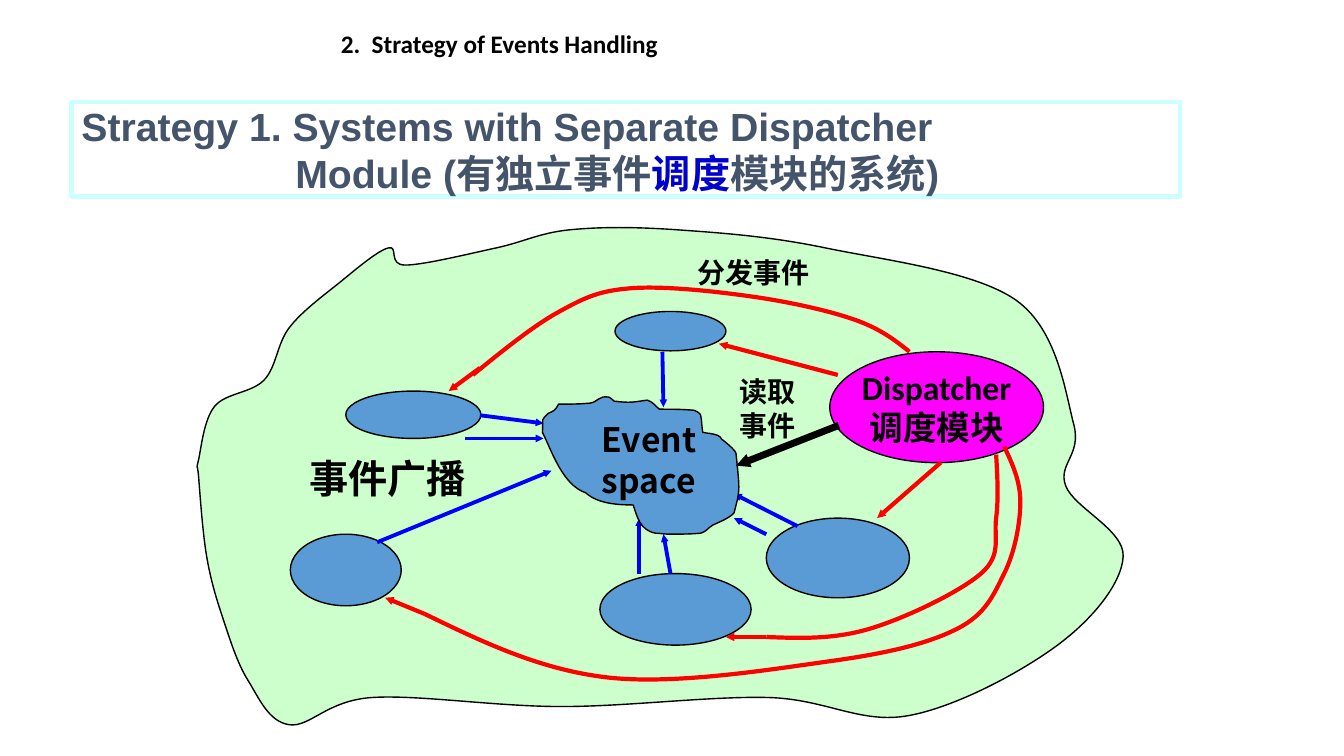
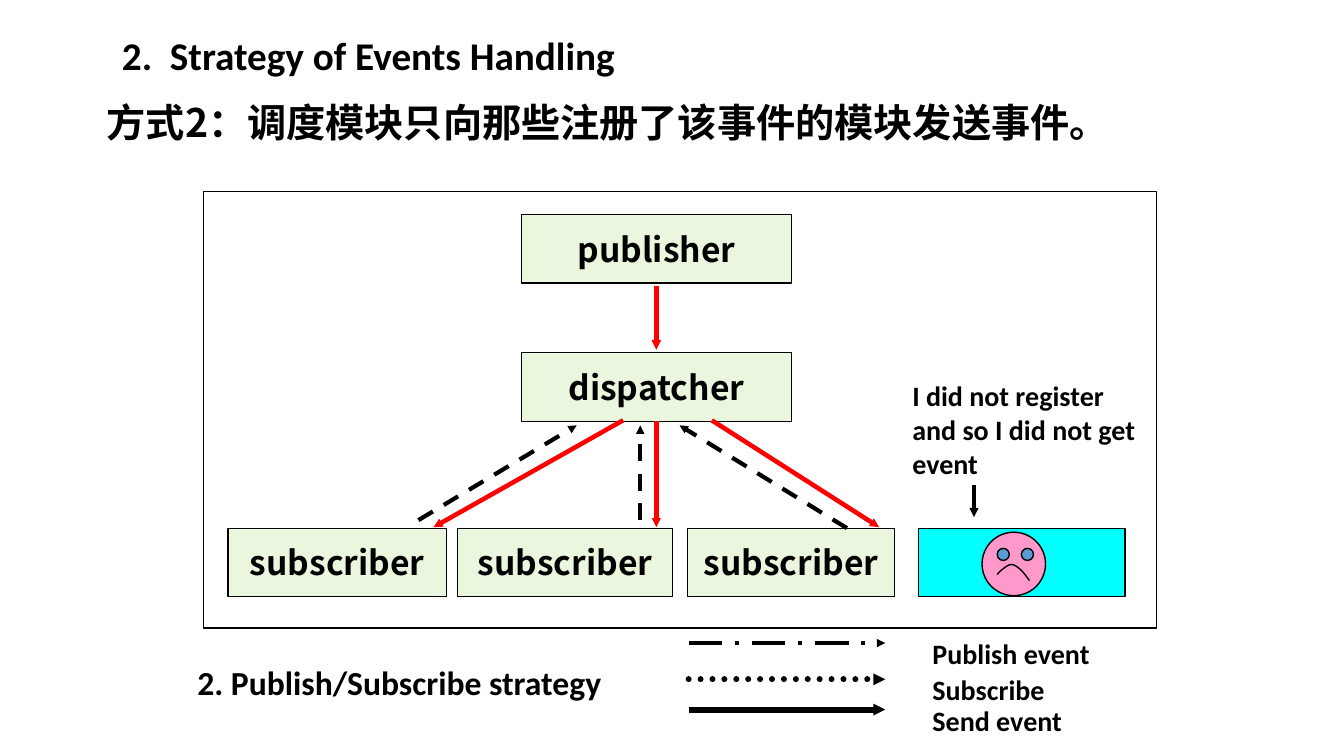
from dataclasses import dataclass

from lxml.etree import SubElement
from pptx import Presentation
from pptx.dml.color import RGBColor
from pptx.enum.dml import MSO_LINE
from pptx.enum.shapes import MSO_CONNECTOR, MSO_SHAPE
from pptx.enum.text import MSO_ANCHOR, MSO_AUTO_SIZE, PP_ALIGN
from pptx.oxml.ns import qn
from pptx.util import Inches, Pt


@dataclass(frozen=True)
class Theme:
    black: str = "000000"
    white: str = "FFFFFF"
    slate: str = "44546A"
    accent: str = "0000CC"
    pale_cyan: str = "CCFFFF"
    cyan: str = "00FFFF"
    mint: str = "CCFFCC"
    lime: str = "92D050"
    module: str = "5B9BD5"
    magenta: str = "FF00FF"
    pink: str = "FF99CC"
    red: str = "FF0000"
    blue: str = "0000FF"
    latin: str = "Calibri"
    heading: str = "Arial"
    chinese: str = "Noto Sans CJK SC"
    small: int = 18
    label: int = 20
    node: int = 24
    large: int = 28


THEME = Theme()
HEADING = "2.  Strategy of Events Handling"


def color(value):
    return RGBColor.from_string(value)


def write(shape, paragraphs, size, font=THEME.latin, align=PP_ALIGN.LEFT,
          anchor=MSO_ANCHOR.TOP, wrap=True, side_margin=0.1):
    """Fill a shape with paragraphs; each is a string or a list of (text, font, colour).

    None in such a list is a line break.
    """
    frame = shape.text_frame
    settings = {
        "auto_size": MSO_AUTO_SIZE.NONE, "word_wrap": wrap, "vertical_anchor": anchor,
        "margin_left": Inches(side_margin), "margin_right": Inches(side_margin),
        "margin_top": Inches(0.05), "margin_bottom": Inches(0.05),
    }
    for name, value in settings.items():
        setattr(frame, name, value)
    for index, content in enumerate(paragraphs):
        paragraph = frame.add_paragraph() if index else frame.paragraphs[0]
        paragraph.alignment = align
        runs = [(content, font, THEME.black)] if isinstance(content, str) else content
        if any(run and run[1] == THEME.chinese for run in runs):
            paragraph.line_spacing = Pt(size * 1.2)
        for part in runs:
            if part is None:
                paragraph.add_line_break()
                continue
            text, face, tint = part
            run = paragraph.add_run()
            run.text = text
            for name, value in {"size": Pt(size), "bold": True, "name": face}.items():
                setattr(run.font, name, value)
            run.font.color.rgb = color(tint)
            east_asian = SubElement(run._r.get_or_add_rPr(), qn("a:ea"))
            east_asian.set("typeface", THEME.chinese)


def smooth(knots, closed=False):
    """Bezier segments (control, control, end) of a smooth curve through the knots."""
    def beyond(first, second, third):
        return tuple(2.5 * a - 2 * b + 0.5 * c for a, b, c in zip(first, second, third))

    if closed:
        chain = [knots[-1], *knots, *knots[:2]]
    else:
        chain = [beyond(*knots[:3]), *knots, beyond(*knots[:-4:-1])]
    return [(tuple(p + (q - o) / 6 for o, p, q in zip(before, start, end)),
             tuple(q - (r - p) / 6 for p, q, r in zip(start, end, after)), end)
            for before, start, end, after in zip(chain, chain[1:], chain[2:], chain[3:])]


class Region:
    """Draws on a slide at offsets, in inches, from one corner."""

    def __init__(self, slide, left, top):
        self.shapes, self.left, self.top = slide.shapes, left, top

    def point(self, x, y):
        return Inches(self.left + x), Inches(self.top + y)

    def paint(self, shape, fill, line, width, alpha=None):
        shape.shadow.inherit = False
        if fill:
            shape.fill.solid()
            shape.fill.fore_color.rgb = color(fill)
        else:
            shape.fill.background()
        if alpha:
            tint = shape.element.spPr.find(qn("a:solidFill"))[0]
            SubElement(tint, qn("a:alpha")).set("val", str(alpha * 1000))
        shape.line.color.rgb = color(line)
        shape.line.width = Pt(width)
        return shape

    def shape(self, kind, box, fill=None, line=THEME.black, width=1, alpha=None):
        x, y, wide, high = box
        shape = self.shapes.add_shape(kind, *self.point(x, y), Inches(wide), Inches(high))
        return self.paint(shape, fill, line, width, alpha)

    def curve(self, start, segments, fill=None, line=THEME.black, width=1, closed=False):
        """Build a freeform from its end points, then bend each side."""
        builder = self.shapes.build_freeform(*self.point(*start), scale=1.0)
        builder.add_line_segments([self.point(*end) for *_, end in segments], close=closed)
        shape = builder.convert_to_shape()
        sides = list(shape.element.iter(qn("a:lnTo")))
        for side, segment in zip(sides, segments):
            side.tag = qn("a:cubicBezTo")
            side.remove(side[0])
            for pair in segment:
                x, y = self.point(*pair)
                node = SubElement(side, qn("a:pt"))
                node.set("x", str(x - shape.left))
                node.set("y", str(y - shape.top))
        return self.paint(shape, fill, line, width)

    def arrow(self, start, end, line=THEME.black, width=3, dash=None):
        connector = self.shapes.add_connector(
            MSO_CONNECTOR.STRAIGHT, *self.point(*start), *self.point(*end))
        connector.line.color.rgb = color(line)
        connector.line.width = Pt(width)
        if dash:
            connector.line.dash_style = dash
        properties = connector.element.spPr
        outline = properties.find(qn("a:ln"))
        if dash == MSO_LINE.ROUND_DOT:
            outline.set("cap", "rnd")
        head = SubElement(outline, qn("a:tailEnd"))
        for name, value in {"type": "triangle", "w": "sm", "len": "sm"}.items():
            head.set(name, value)
        SubElement(properties, qn("a:effectLst"))
        return connector

    def text(self, box, paragraphs, size, **options):
        x, y, wide, high = box
        text_box = self.shapes.add_textbox(*self.point(x, y), Inches(wide), Inches(high))
        write(text_box, paragraphs, size, **options)


def add_slide(presentation, left, top, height, size):
    slide = presentation.slides.add_slide(presentation.slide_layouts[5])
    title = slide.shapes.title
    box = {"left": left, "top": top, "width": 6.38, "height": height}
    for name, value in box.items():
        setattr(title, name, Inches(value))
    write(title, [HEADING], size)
    return slide


def strategy_box(slide, left, top):
    region = Region(slide, left, top)
    box = region.shape(MSO_SHAPE.RECTANGLE, (0, 0, 10.99, 0.94), None, THEME.pale_cyan, 3)
    write(box, [[
        ("Strategy 1. Systems with Separate Dispatcher", THEME.heading, THEME.slate),
        None,
        ("Module (", THEME.heading, THEME.slate),
        ("有独立事件", THEME.chinese, THEME.slate),
        ("调度", THEME.chinese, THEME.accent),
        ("模块的系统", THEME.chinese, THEME.slate),
        (")", THEME.heading, THEME.slate),
    ]], THEME.large, anchor=MSO_ANCHOR.MIDDLE)
    paragraph = box.text_frame.paragraphs[0]
    paragraph.space_before = Pt(6)
    for name, value in {"marL": 2.12, "indent": -2.12}.items():
        paragraph._p.get_or_add_pPr().set(name, str(Inches(value)))


def event_space(region):
    region.curve((3.38, 2.29), [
        ((3.48, 2.49), (3.58, 2.81), (3.81, 2.89)), ((3.93, 3), (4.14, 3.01), (4.28, 3.01)),
        ((4.32, 3.13), (4.35, 3.26), (4.5, 3.29)), ((4.54, 3.29), (4.59, 3.3), (4.63, 3.3)),
        ((4.74, 3.3), (4.85, 3.3), (4.95, 3.29)), ((5, 3.28), (5.03, 3.23), (5.07, 3.21)),
        ((5.15, 3.17), (5.22, 3.15), (5.28, 3.09)), ((5.34, 2.86), (5.34, 2.89), (5.3, 2.5)),
        ((5.3, 2.47), (5.19, 2.38), (5.16, 2.36)), ((5.15, 2.35), (5.14, 2.32), (5.12, 2.32)),
        ((5.07, 2.3), (5.02, 2.3), (4.97, 2.29)), ((4.96, 2.23), (4.96, 2.17), (4.95, 2.12)),
        ((4.95, 2.1), (4.89, 2.07), (4.88, 2.07)), ((4.76, 2.06), (4.65, 2.06), (4.54, 2.06)),
        ((4.49, 2.02), (4.48, 1.99), (4.42, 1.97)), ((4.27, 1.99), (4.26, 2), (4.09, 1.98)),
        ((4.07, 1.97), (4.06, 1.94), (4.04, 1.94)), ((3.94, 1.92), (3.93, 1.99), (3.85, 2)),
        ((3.74, 2.01), (3.64, 2.01), (3.54, 2.01)), ((3.51, 2.07), (3.49, 2.08), (3.44, 2.1)),
        ((3.36, 2.18), (3.39, 2.13), (3.38, 2.29)),
    ], THEME.module, closed=True)


def event_map(slide, left, top):
    region = Region(slide, left, top)
    cloud = [
        (-0.03, 2.73), (-0.03, 2.56), (0.13, 2.03), (0.62, 1.77), (0.87, 1.25),
        (1.36, 0.81), (1.85, 0.46), (2.02, 0.63), (2.92, 0.46), (3.65, 0.28),
        (4.72, 0.28), (6.19, 0.46), (8.08, 0.98), (8.65, 2.21), (8.57, 2.82),
        (9.14, 3.52), (8.49, 4.4), (7.01, 5.1), (5.62, 4.92), (3.57, 5.01),
        (1.69, 4.92), (0.87, 5.19), (0.46, 4.75), (0.21, 4.13), (0.05, 3.52),
    ]
    region.curve(cloud[0], smooth(cloud, closed=True), THEME.mint, closed=True)

    modules = [(0.88, 3.3, 1.1, 0.71), (1.43, 1.88, 1.34, 0.47), (4.1, 1.09, 1.1, 0.39),
               (3.95, 3.69, 1.5, 0.71), (5.6, 3.14, 1.42, 0.79)]
    for box in modules:
        region.shape(MSO_SHAPE.OVAL, box, THEME.module)
    dispatcher = region.shape(MSO_SHAPE.OVAL, (6.23, 1.49, 2.12, 1.1), THEME.magenta)
    write(dispatcher, ["Dispatcher", [("调度模块", THEME.chinese, THEME.black)]], THEME.node,
          align=PP_ALIGN.CENTER, anchor=MSO_ANCHOR.MIDDLE, wrap=False)

    broadcasts = [((1.74, 3.38), (3.47, 2.67)), ((2.61, 2.35), (3.39, 2.35)),
                  ((2.76, 2.12), (3.39, 2.2)), ((4.57, 1.49), (4.58, 2.04)),
                  ((4.34, 3.69), (4.34, 3.14)), ((4.65, 3.69), (4.58, 3.3)),
                  ((5.6, 3.3), (5.28, 3.14)), ((5.91, 3.22), (5.28, 2.9))]
    for start, end in broadcasts:
        region.arrow(start, end, THEME.blue, 2.75)
    event_space(region)
    region.arrow((6.32, 2.22), (5.3, 2.62), width=5)

    deliveries = [((6.31, 1.72), (5.13, 1.41)), ((7.33, 2.59), (6.7, 3.14)),
                  ((5.6, 4.32), (5.2, 4.32)), ((2.21, 4.09), (1.82, 3.93)),
                  ((2.76, 1.65), (2.45, 1.88))]
    for start, end in deliveries:
        region.arrow(start, end, THEME.red)
    routes = [
        [(7.88, 2.51), (7.88, 3.14), (7.73, 3.69), (6.62, 4.24), (5.6, 4.32)],
        [(7.96, 2.43), (8.12, 2.98), (7.96, 3.69), (7.49, 4.24), (6.23, 4.56),
         (4.02, 4.72), (2.21, 4.09)],
        [(7.02, 1.49), (6.47, 1.17), (5.44, 0.94), (4.26, 0.86), (3.55, 1.09), (2.69, 1.72)],
    ]
    for knots in routes:
        region.curve(knots[0], smooth(knots), line=THEME.red, width=3)

    labels = [((3.87, 2.11, 1.27, 0.91), ["Event space"], THEME.node),
              ((0.97, 2.46, 1.81, 0.57), ["事件广播"], THEME.large),
              ((5.24, 1.67, 0.76, 0.77), ["读取", "事件"], THEME.label),
              ((4.82, 0.49, 1.5, 0.43), ["分发事件"], THEME.label)]
    for box, paragraphs, size in labels:
        region.text(box, paragraphs, size, font=THEME.chinese)


def sad_face(slide, left, top):
    region = Region(slide, left, top)
    region.shape(MSO_SHAPE.OVAL, (0, 0, 0.63, 0.63), THEME.pink)
    mouth = [(0.15, 0.42), (0.2, 0.37), (0.29, 0.32), (0.38, 0.37), (0.47, 0.48)]
    region.curve(mouth[0], smooth(mouth))
    for x in (0.15, 0.39):
        region.shape(MSO_SHAPE.OVAL, (x, 0.16, 0.12, 0.12), THEME.module)


def subscription_diagram(slide, left, top):
    region = Region(slide, left, top)
    region.shape(MSO_SHAPE.RECTANGLE, (0.02, 0, 9.45, 4.33), THEME.white)

    def node(label, x, y, width):
        box = region.shape(MSO_SHAPE.RECTANGLE, (x, y, width, 0.68), THEME.lime, alpha=19)
        write(box, [label], THEME.node, THEME.chinese, PP_ALIGN.CENTER,
              MSO_ANCHOR.MIDDLE, wrap=False, side_margin=0)
        return box

    node("publisher", 3.17, 0.23, 2.68)
    dispatcher = node("dispatcher", 3.17, 1.6, 2.68)
    for index, width in enumerate((2.17, 2.13, 2.05)):
        node("subscriber", 0.26 + 2.28 * index, 3.34, width)
    region.shape(MSO_SHAPE.RECTANGLE, (7.11, 3.34, 2.05, 0.68), THEME.cyan)
    sad_face(slide, left + 7.74, top + 3.38)

    region.arrow((4.51, 0.94), (4.51, 1.57), THEME.red, 3.5)
    sends = [region.arrow((start, 2.27), (end, 3.33), THEME.red, 3.25)
             for start, end in ((4.18, 2.3), (4.51, 4.51), (5.06, 6.72))]
    sends[1].begin_connect(dispatcher, 2)
    for start, end in (((2.15, 3.26), (3.72, 2.32)), ((6.4, 3.34), (4.74, 2.32)),
                       ((4.35, 3.26), (4.35, 2.32))):
        region.arrow(start, end, dash=MSO_LINE.DASH)

    region.text((6.95, 1.81, 2.44, 1.1),
                ["I did not register and so I did not get event"], THEME.label)
    region.arrow((7.66, 2.91), (7.66, 3.23), width=3.25)


def legend(slide, left, top):
    region = Region(slide, left, top)
    entries = [("Publish event", 0.18, 0.07, 3, MSO_LINE.LONG_DASH_DOT),
               ("Subscribe", 0.54, 0.42, 4.25, MSO_LINE.ROUND_DOT),
               ("Send event", 0.84, 0.73, 4.25, None)]
    for label, line_y, text_y, width, dash in entries:
        region.arrow((0.03, line_y), (1.98, line_y), width=width, dash=dash)
        region.text((2.35, text_y, 2.32, 0.43), [label], THEME.label)


def main():
    presentation = Presentation()
    presentation.slide_width, presentation.slide_height = Inches(13.33), Inches(7.5)

    slide = add_slide(presentation, 3.28, 0.23, 0.4, THEME.small)
    strategy_box(slide, 0.71, 1.01)
    event_map(slide, 2, 2)

    slide = add_slide(presentation, 1.11, 0.26, 0.57, THEME.large)
    captions = Region(slide, 0, 0)
    captions.text((0.96, 0.93, 10.19, 0.57),
                  ["方式2：调度模块只向那些注册了该事件的模块发送事件。"],
                  THEME.large, font=THEME.chinese)
    subscription_diagram(slide, 2, 1.9)
    captions.text((1.86, 6.52, 4.96, 0.5), ["2. Publish/Subscribe strategy"], THEME.node)
    legend(slide, 6.8, 6.2)

    presentation.save("out.pptx")


if __name__ == "__main__":
    main()
